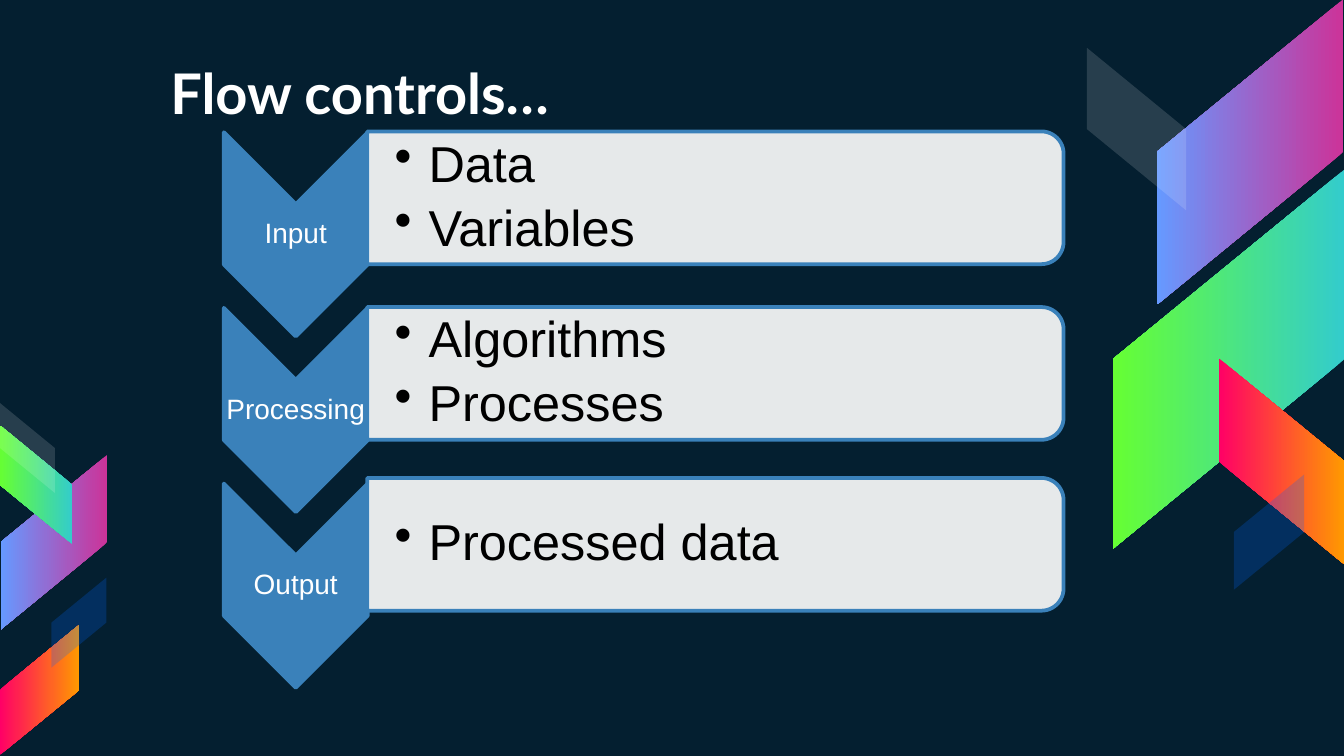
from lxml.etree import SubElement
from pptx import Presentation
from pptx.dml.color import RGBColor as RGB
from pptx.enum.shapes import MSO_SHAPE as Preset
from pptx.enum.text import MSO_ANCHOR as Anchor, PP_ALIGN as Align
from pptx.oxml.ns import qn
from pptx.util import Cm, Pt

# Content
TITLE = "Flow controls…"
STAGES = [  # label, bullets, centre of the panel from the top in cm
    ("Input", ["Data", "Variables"], 3.74),
    ("Processing", ["Algorithms", "Processes"], 7.06),
    ("Output", ["Processed data"], 10.29),
]

THEME = {
    "background": "041F30", "accent": "3A81BA", "panel": "FFFFFF",
    "light": "FFFFFF", "dark": "000000",
    "heading_font": "Lato", "body_font": "Arial",
    "title_size": 30, "label_size": 15, "bullet_size": 27, "outline": 2,
    # Ribbon paints: two gradient colours, or one colour and its opacity in %
    "violet": ("CC3399", "6699FF"), "green": ("33CCCC", "66FF33"),
    "sunset": ("FF0066", "FF9900"), "mist": ("FFFFFF", 14), "navy": ("0066FF", 23),
}

# Ribbons: paint, centre x, centre y, length (cm), rotation, mirrored
RIBBONS = [
    ("violet", 23.63, 2.87, 5.77, 90, True),
    ("green", 23.22, 6.79, 7.16, 90, True),
    ("sunset", 24.22, 8.72, 3.89, 270, False),
    ("mist", 21.48, 2.44, 3.07, 270, False),
    ("navy", 23.98, 10.06, 2.18, 270, True),
    ("violet", 1.02, 10.25, 3.3, 90, True),
    ("green", 0.69, 9.17, 2.24, 90, False),
    ("sunset", 0.75, 13.04, 2.46, 270, True),
    ("mist", 0.52, 8.47, 1.7, 270, False),
    ("navy", 1.49, 11.77, 1.7, 270, True),
]
RIBBON_RATIO, RIBBON_SLANT = 1.64, 0.819

# Flow layout in cm
CHEVRON_X, FIRST_Y, PITCH = 5.59, 4.43, 3.32
CHEVRON_LENGTH, CHEVRON_WIDTH, LABEL_HEIGHT = 3.86, 2.72, 1.17
PANEL_X, PANEL_LENGTH, PANEL_WIDTH = 13.52, 13.16, 2.51
BULLETS_X, BULLETS_WIDTH, BULLETS_HEIGHT = 13.46, 13.06, 2.26
BULLET_INDENT = Cm(0.64)


def centred(x, y, width, height):
    return Cm(x - width / 2), Cm(y - height / 2), Cm(width), Cm(height)


def add_turned(slide, preset, x, y, length, width, rotation):
    shape = slide.shapes.add_shape(preset, *centred(x, y, length, width))
    shape.rotation = rotation
    shape.shadow.inherit = False
    return shape


def paint_solid(shape, color, opacity=100):
    shape.fill.solid()
    shape.fill.fore_color.rgb = RGB.from_string(color)
    if opacity < 100:
        tone = shape._element.spPr.find(qn("a:solidFill"))[0]
        SubElement(tone, qn("a:alpha"), val=str(opacity * 1000))


def paint_gradient(shape, colors):
    shape.fill.gradient()
    shape.fill.gradient_angle = 270
    for stop, color in zip(shape.fill.gradient_stops, colors):
        stop.color.rgb = RGB.from_string(color)


def outline(shape):
    shape.line.color.rgb = RGB.from_string(THEME["accent"])
    shape.line.width = Pt(THEME["outline"])


def add_text(slide, box, lines, font, size, color, anchor, insets, bold=False):
    frame = slide.shapes.add_textbox(*box).text_frame
    frame.word_wrap = True
    frame.vertical_anchor = anchor
    frame.margin_left, other = map(Cm, insets)
    frame.margin_top = frame.margin_right = frame.margin_bottom = other
    frame.text = "\n".join(lines)
    for paragraph in frame.paragraphs:
        for run in paragraph.runs:
            run.font.name, run.font.size, run.font.bold = font, Pt(size), bold
            run.font.color.rgb = RGB.from_string(color)
    return frame.paragraphs


def add_ribbon(slide, paint, x, y, length, rotation, mirrored):
    ribbon = add_turned(slide, Preset.PARALLELOGRAM, x, y, length,
                        length / RIBBON_RATIO, rotation)
    ribbon.adjustments[0] = RIBBON_SLANT
    if mirrored:
        ribbon._element.spPr.xfrm.set("flipH", "1")
    first, second = THEME[paint]
    if isinstance(second, int):
        paint_solid(ribbon, first, second)
    else:
        paint_gradient(ribbon, (first, second))
    ribbon.line.fill.background()


def add_stage(slide, y, label, bullets, panel_y):
    # Chevron and its label
    chevron = add_turned(slide, Preset.CHEVRON, CHEVRON_X, y,
                         CHEVRON_LENGTH, CHEVRON_WIDTH, 90)
    paint_solid(chevron, THEME["accent"])
    outline(chevron)
    for paragraph in add_text(
            slide, centred(CHEVRON_X, y, CHEVRON_WIDTH, LABEL_HEIGHT), [label],
            THEME["body_font"], THEME["label_size"], THEME["light"],
            Anchor.MIDDLE, (0.03, 0.03)):
        paragraph.alignment = Align.CENTER
        paragraph.line_spacing = 0.9
        paragraph.space_after = Pt(5)

    # Panel, lying on its side, and its bullets
    panel = add_turned(slide, Preset.ROUND_2_SAME_RECTANGLE, PANEL_X, panel_y,
                       PANEL_WIDTH, PANEL_LENGTH, 90)
    paint_solid(panel, THEME["panel"], 90)
    outline(panel)
    for paragraph in add_text(
            slide, centred(BULLETS_X, panel_y, BULLETS_WIDTH, BULLETS_HEIGHT), bullets,
            THEME["body_font"], THEME["bullet_size"], THEME["dark"],
            Anchor.MIDDLE, (0.53, 0.05)):
        paragraph.level = 1
        paragraph.line_spacing = 0.9
        paragraph.space_after = Pt(5)
        properties = paragraph._p.get_or_add_pPr()
        properties.set("marL", str(BULLET_INDENT))
        properties.set("indent", str(-BULLET_INDENT))
        SubElement(properties, qn("a:buChar"), char="•")


def main():
    deck = Presentation()
    deck.slide_width, deck.slide_height = Cm(25.4), Cm(14.29)
    slide = deck.slides.add_slide(deck.slide_layouts[6])
    slide.background.fill.solid()
    slide.background.fill.fore_color.rgb = RGB.from_string(THEME["background"])

    for ribbon in RIBBONS:
        add_ribbon(slide, *ribbon)

    add_text(slide, (Cm(2.97), Cm(0.84), Cm(16.59), Cm(1.78)), [TITLE],
             THEME["heading_font"], THEME["title_size"], THEME["light"],
             Anchor.BOTTOM, (0.25, 0.25), bold=True)

    for row, stage in enumerate(STAGES):
        add_stage(slide, FIRST_Y + row * PITCH, *stage)

    deck.save("out.pptx")


if __name__ == "__main__":
    main()
